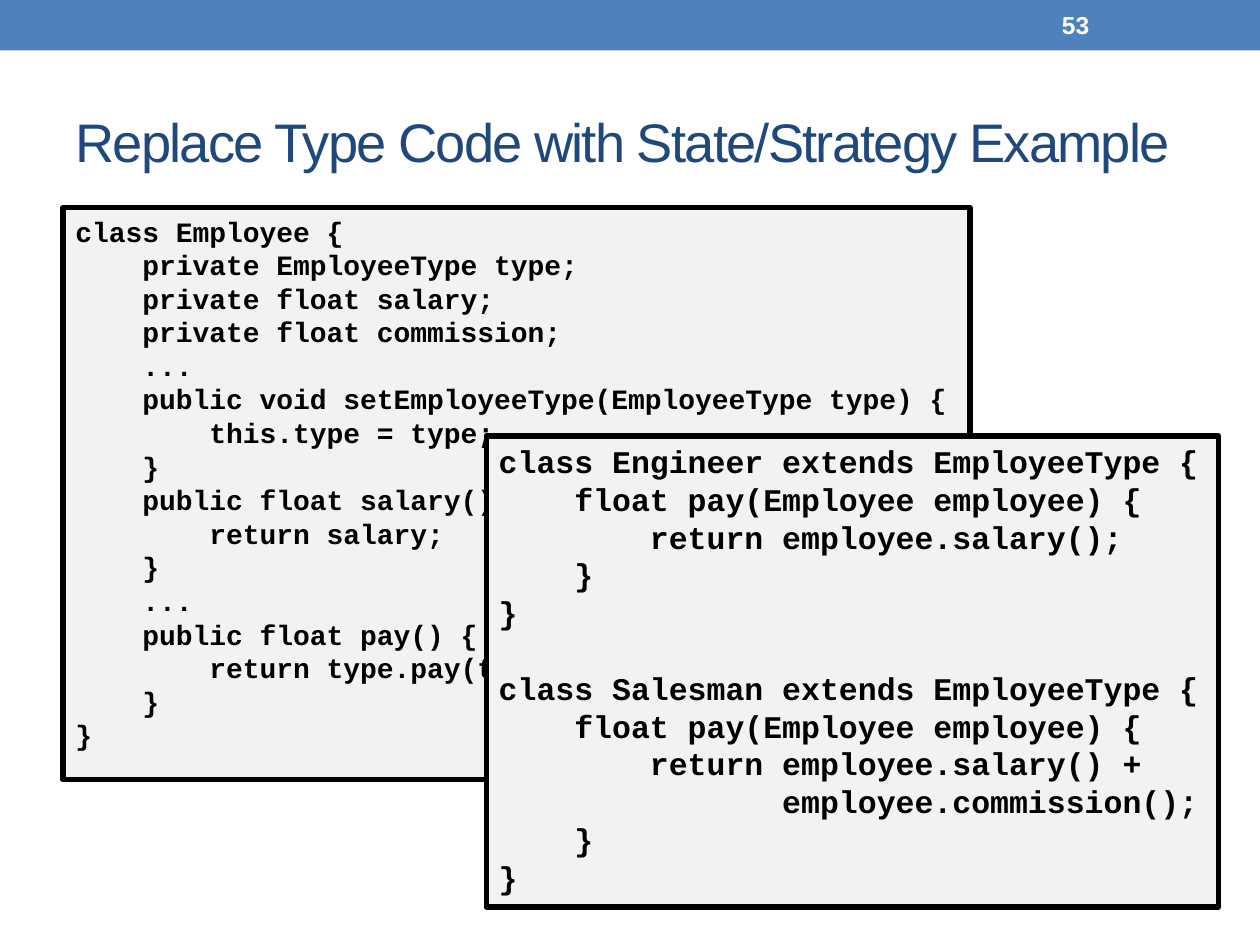
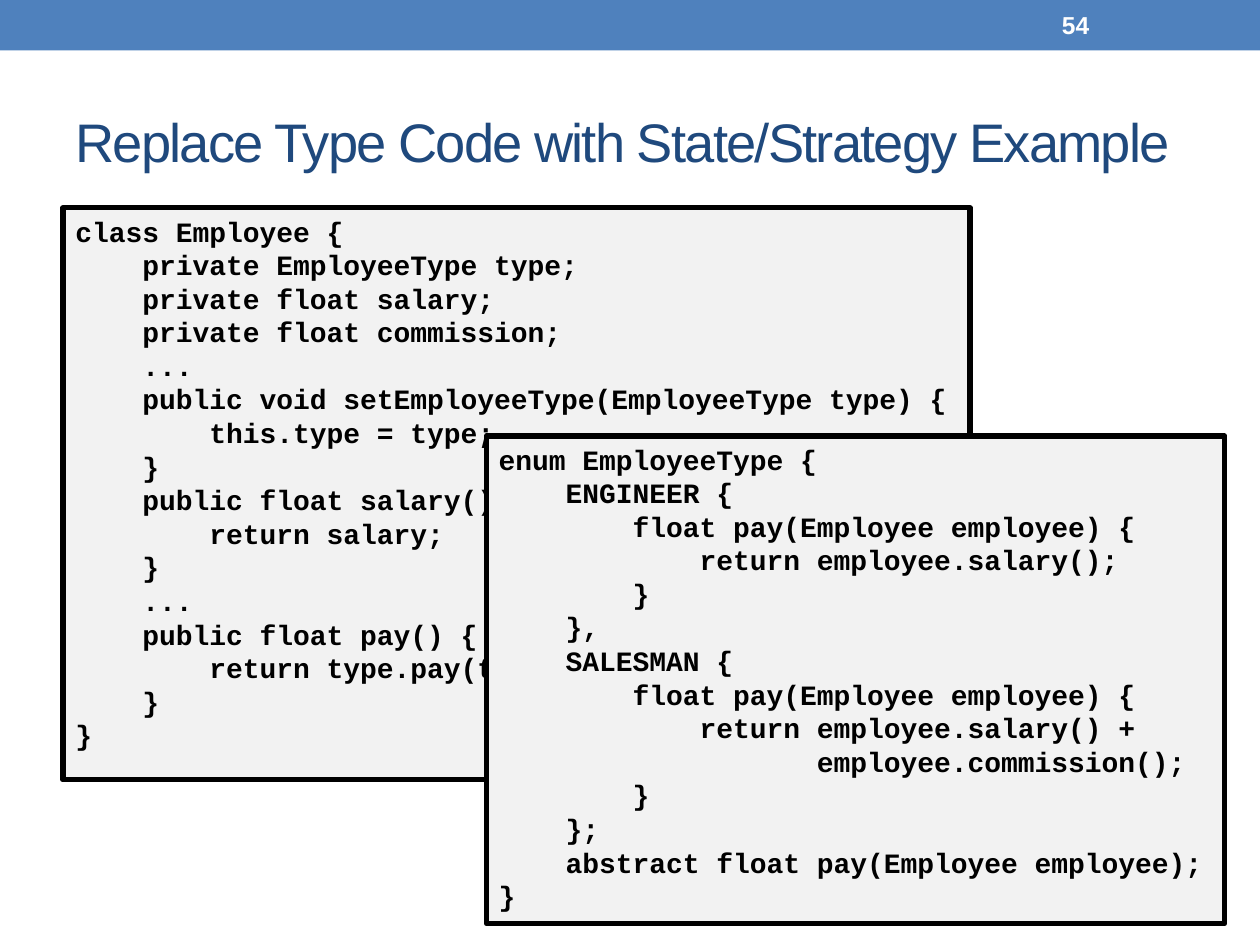
from dataclasses import dataclass

from pptx import Presentation
from pptx import util as u
from pptx.dml.color import RGBColor
from pptx.enum import shapes, text


@dataclass(frozen=True)
class Theme:
    band: RGBColor = RGBColor(0x4F, 0x81, 0xBD)
    title: RGBColor = RGBColor(0x1F, 0x49, 0x7D)
    number: RGBColor = RGBColor(0xFF, 0xFF, 0xFF)
    code_fill: RGBColor = RGBColor(0xF2, 0xF2, 0xF2)
    code: RGBColor = RGBColor(0, 0, 0)
    body_font: str = "Arial"
    code_font: str = "Courier New"
    title_size: int = 31
    number_size: int = 14
    code_size: int = 16
    large_code_size: int = 18
    code_border: int = 3


THEME = Theme()
TITLE = "Replace Type Code with State/Strategy Example"

EMPLOYEE = """class Employee {
    private EmployeeType type;
    private float salary;
    private float commission;
    ...
    public void setEmployeeType(EmployeeType type) {
        this.type = type;
    }
    public float salary() {
        return salary;
    }
    ...
    public float pay() {
        return type.pay(this);
    }
}"""

SUBCLASSES = """class Engineer extends EmployeeType {
    float pay(Employee employee) {
        return employee.salary();
    }
}

class Salesman extends EmployeeType {
    float pay(Employee employee) {
        return employee.salary() +
               employee.commission();
    }
}"""

TYPE_ENUM = """enum EmployeeType {
    ENGINEER {
        float pay(Employee employee) {
            return employee.salary();
        }
    },
    SALESMAN {
        float pay(Employee employee) {
            return employee.salary() +
                   employee.commission();
        }
    };
    abstract float pay(Employee employee);
}"""


def set_font(p, name, size, color, bold=False):
    p.font.name = name
    p.font.size = u.Pt(size)
    p.font.color.rgb = color
    p.font.bold = bold


def add_rect(s, box, fill):
    sp = s.shapes.add_shape(shapes.MSO_SHAPE.RECTANGLE, *map(u.Inches, box))
    sp.shadow.inherit = False
    sp.fill.solid()
    sp.fill.fore_color.rgb = fill
    return sp


def add_label(s, box, label, size, color, bold=False, tracking=0):
    tf = s.shapes.add_textbox(*map(u.Inches, box)).text_frame
    tf.word_wrap = True
    tf.vertical_anchor = text.MSO_ANCHOR.MIDDLE
    p = tf.paragraphs[0]
    r = p.add_run()
    r.text = label
    if tracking:
        r._r.get_or_add_rPr().set("spc", str(tracking * 100))
    set_font(p, THEME.body_font, size, color, bold)


def add_code(s, box, code, size):
    sp = add_rect(s, box, THEME.code_fill)
    sp.line.color.rgb = THEME.code
    sp.line.width = u.Pt(THEME.code_border)
    tf = sp.text_frame
    tf.word_wrap = False
    tf.vertical_anchor = text.MSO_ANCHOR.TOP
    for i, line in enumerate(code.splitlines()):
        p = tf.add_paragraph() if i else tf.paragraphs[0]
        p.alignment = text.PP_ALIGN.LEFT
        p.add_run().text = line or " "
        set_font(p, THEME.code_font, size, THEME.code, bold=True)


def add_example(prs, number, front_size, front_code, code_size):
    s = prs.slides.add_slide(prs.slide_layouts[6])
    add_rect(s, (0, 0, 10, 0.4), THEME.band).line.fill.background()
    add_label(s, (0.5, 0.58, 9, 1.08), TITLE, THEME.title_size, THEME.title, tracking=-1)
    add_label(s, (8.33, 0.02, 1.17, 0.36), str(number), THEME.number_size, THEME.number, bold=True)
    add_code(s, (0.5, 1.65, 7.2, 4.54), EMPLOYEE, THEME.code_size)
    add_code(s, (3.86, 3.46, *front_size), front_code, code_size)


def main():
    prs = Presentation()
    prs.slide_width, prs.slide_height = u.Inches(10), u.Inches(7.5)
    add_example(prs, 53, (5.81, 3.74), SUBCLASSES, THEME.large_code_size)
    add_example(prs, 54, (5.86, 3.87), TYPE_ENUM, THEME.code_size)
    prs.save("out.pptx")


if __name__ == "__main__":
    main()
